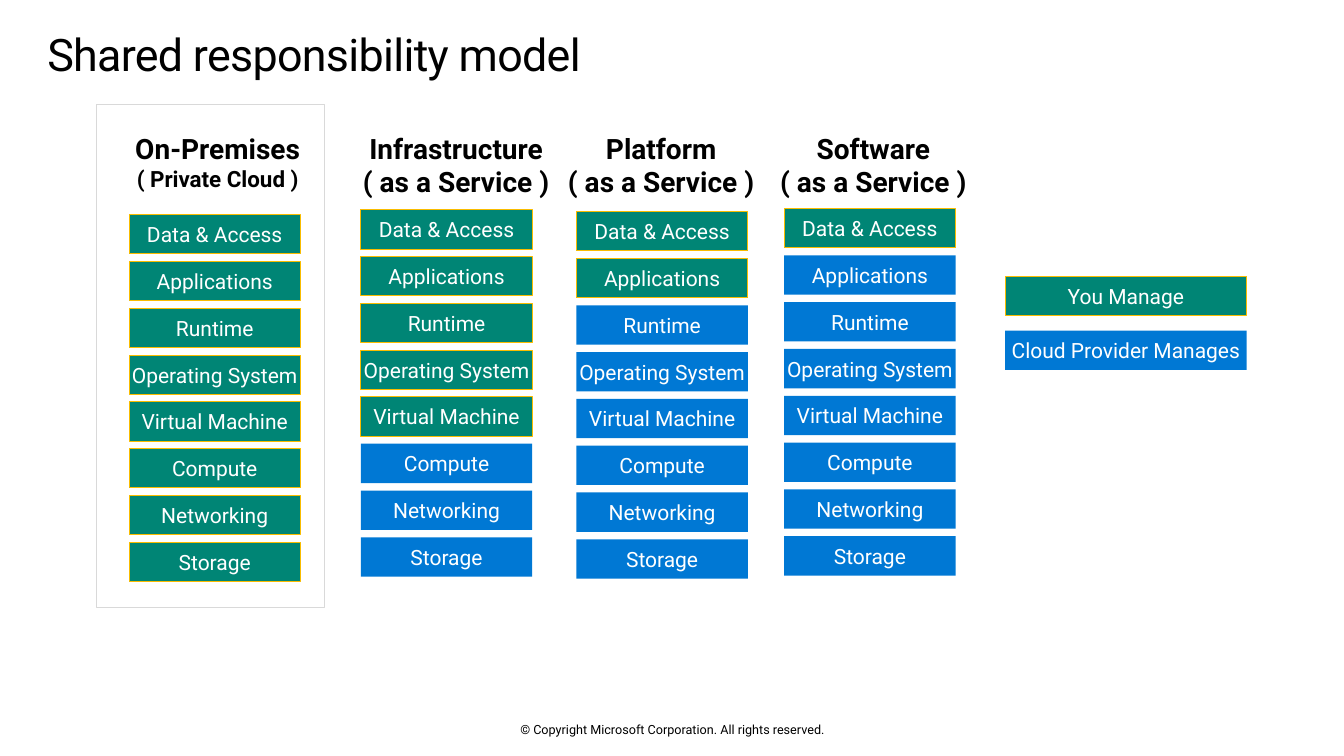
from pptx import Presentation
from pptx.dml.color import RGBColor
from pptx.enum.shapes import MSO_SHAPE
from pptx.enum.text import MSO_ANCHOR, PP_ALIGN
from pptx.util import Pt

RECT = MSO_SHAPE.RECTANGLE
TOP, MIDDLE = MSO_ANCHOR.TOP, MSO_ANCHOR.MIDDLE
LEFT, CENTER = PP_ALIGN.LEFT, PP_ALIGN.CENTER

BLACK = RGBColor(0x00, 0x00, 0x00)
WHITE = RGBColor(0xFF, 0xFF, 0xFF)
GREEN = RGBColor(0x00, 0x85, 0x75)
BLUE = RGBColor(0x00, 0x78, 0xD4)
GOLD = RGBColor(0xF9, 0xBC, 0x00)
GRAY = RGBColor(0xD9, 0xD9, 0xD9)

LAYERS = ["Data & Access", "Applications", "Runtime", "Operating System",
          "Virtual Machine", "Compute", "Networking", "Storage"]
SERVICE = "( as a Service )"

# Heading, its second line and size, heading left and width,
# stack left and top, number of layers you manage
MODELS = [
    ("On-Premises", "( Private Cloud )", 16, 85.7, 139.7, 92.2, 153.3, 8),
    ("Infrastructure", SERVICE, 20, 247, 157.7, 257.8, 149.8, 5),
    ("Platform", SERVICE, 20, 397.4, 149.8, 411.8, 151.2, 2),
    ("Software", SERVICE, 20, 547.9, 151.9, 560.2, 149, 1),
]
PITCH = 33.43
BAR_W, BAR_H = 122.4, 28.1


class Deck:
    face = "Roboto"

    def __init__(self, wide, high):
        self.prs = Presentation()
        self.prs.slide_width, self.prs.slide_height = Pt(wide), Pt(high)
        self.slide = self.prs.slides.add_slide(self.prs.slide_layouts[6])

    def label(self, shape, lines, color, anchor=MIDDLE, align=CENTER, bold=False):
        """Fill a shape with (text, size) lines."""
        frame = shape.text_frame
        form = {"word_wrap": True, "vertical_anchor": anchor, "margin_left": 0,
                "margin_right": 0, "margin_top": 0, "margin_bottom": 0}
        for key, val in form.items():
            setattr(frame, key, val)
        for i, (text, size) in enumerate(lines):
            para = frame.add_paragraph() if i else frame.paragraphs[0]
            para.alignment = align
            run = para.add_run()
            run.text = text
            form = {"name": self.face, "size": Pt(size), "bold": bold}
            for key, val in form.items():
                setattr(run.font, key, val)
            run.font.color.rgb = color
        return frame

    def text(self, x, y, w, h, lines, **form):
        box = self.slide.shapes.add_textbox(Pt(x), Pt(y), Pt(w), Pt(h))
        return self.label(box, lines, BLACK, **form)

    def rect(self, x, y, w, h, fill=None, line=None):
        shape = self.slide.shapes.add_shape(RECT, Pt(x), Pt(y), Pt(w), Pt(h))
        shape.shadow.inherit = False
        for part, color in ((shape.fill, fill), (shape.line.fill, line)):
            if color is None:
                part.background()
            else:
                part.solid()
                part.fore_color.rgb = color
        if line is not None:
            shape.line.width = Pt(0.75)
        return shape

    def bar(self, x, y, w, name, yours):
        fill, line = (GREEN, GOLD) if yours else (BLUE, None)
        self.label(self.rect(x, y, w, BAR_H, fill, line), [(name, 15)], WHITE)


def main():
    deck = Deck(960, 540)

    # Title
    title = deck.text(33.8, 20.9, 892.8, 53.3,
                      [("Shared responsibility model", 32)], anchor=TOP, align=LEFT)
    title.margin_top = Pt(2.5)
    para = title.paragraphs[0]
    para.line_spacing = 0.9
    para.runs[0].font._element.set("spc", "-50")

    # Frame around the private cloud
    deck.rect(69.1, 74.9, 162.7, 359.3, line=GRAY)

    # Stacks of layers under their headings
    for name, sub, size, head_x, head_w, x, y, yours in MODELS:
        deck.text(head_x, 93.6, head_w, 46.8, [(name, 20), (sub, size)],
                  anchor=TOP, bold=True)
        for i, layer in enumerate(LAYERS):
            deck.bar(x, y + i * PITCH, BAR_W, layer, i < yours)

    # Legend
    deck.bar(718, 197.3, 172.5, "You Manage", True)
    deck.bar(718, 236.2, 172.5, "Cloud Provider Manages", False)

    # Footer
    deck.text(318.2, 515.5, 324, 10.8,
              [("© Copyright Microsoft Corporation. All rights reserved.", 9)])

    deck.prs.save("out.pptx")


if __name__ == "__main__":
    main()
